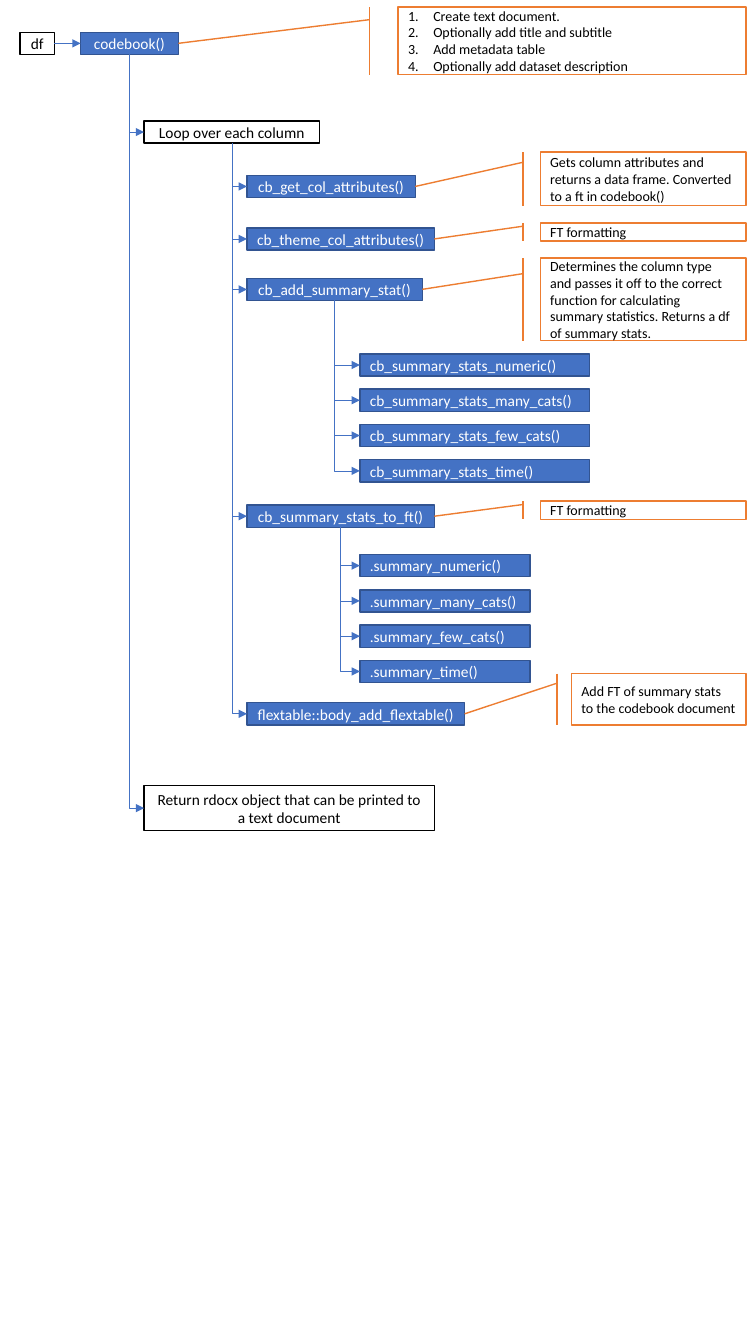
from pptx import Presentation
from pptx import util as u
from pptx.dml.color import RGBColor
from pptx.enum import shapes, text
from pptx.oxml.ns import qn
from lxml import etree

# Content: key, parent, label, column, top, width
STEPS = [
    ("df", None, "df", "input", 0.32, 0.34),
    ("book", None, "codebook()", "main", 0.32, 0.97),
    ("loop", "book", "Loop over each column", "stage", 1.2, 1.74),
    ("get", "loop", "cb_get_col_attributes()", "call", 1.74, 1.67),
    ("theme", "loop", "cb_theme_col_attributes()", "call", 2.26, 1.86),
    ("stat", "loop", "cb_add_summary_stat()", "call", 2.76, 1.74),
    ("toft", "loop", "cb_summary_stats_to_ft()", "call", 5.01, 1.86),
    ("body", "loop", "flextable::body_add_flextable()", "call", 6.97, 2.16),
    ("end", "book", "Return rdocx object that can be printed to a text document",
     "stage", 7.79, 2.88),
]
# Parent, first top, width, label pattern
GROUPS = [
    ("stat", 3.51, 2.28, "cb_summary_stats_{}()"),
    ("toft", 5.5, 1.69, ".summary_{}()"),
]
KINDS = ["numeric", "many_cats", "few_cats", "time"]
# Step explained, top, width, height, lines
NOTES = [
    ("book", 0.07, 3.45, 0.67, [
        "Create text document.", "Optionally add title and subtitle",
        "Add metadata table", "Optionally add dataset description"]),
    ("get", 1.51, 2.04, 0.53, [
        "Gets column attributes and returns a data frame. "
        "Converted to a ft in codebook()"]),
    ("theme", 2.21, 2.04, 0.18, ["FT formatting"]),
    ("stat", 2.56, 2.04, 0.82, [
        "Determines the column type and passes it off to the correct function "
        "for calculating summary statistics. Returns a df of summary stats."]),
    ("toft", 4.97, 2.04, 0.18, ["FT formatting"]),
    ("body", 6.68, 1.73, 0.51, [
        "Add FT of summary stats to the codebook document"]),
]

# Layout, in inches
COLS = {"input": 0.2, "main": 0.8, "stage": 1.43, "call": 2.45, "sub": 3.57}
PLAIN = {"df", "loop", "end"}
ROW, PITCH, TALL, EDGE = 0.22, 0.35, 0.45, 7.4
BAR_Y, BAR_X = 0.188, -0.083
THEME = dict(font="Calibri", step=11, note=10, box=1, wire=0.5,
             blue="4472C4", navy="325491", orange="ED7D31",
             white="FFFFFF", black="000000")

deck = Presentation()
deck.slide_width, deck.slide_height = u.Inches(7.5), u.Inches(13.33)
slide = deck.slides.add_slide(deck.slide_layouts[6])


def color(name):
    return RGBColor.from_string(THEME[name])


def write(shape, lines, size="step", ink="black", align=text.PP_ALIGN.LEFT):
    frame = shape.text_frame
    frame.word_wrap = True
    frame.vertical_anchor = text.MSO_ANCHOR.MIDDLE
    for i, line in enumerate(lines):
        para = frame.paragraphs[0] if i == 0 else frame.add_paragraph()
        para.alignment = align
        run = para.add_run()
        run.text = line
        run.font.name = THEME["font"]
        run.font.size = u.Pt(THEME[size])
        run.font.color.rgb = color(ink)
        if len(lines) > 1:  # numbered list
            props = para._p.get_or_add_pPr()
            props.set("marL", str(u.Inches(0.25)))
            props.set("indent", str(-u.Inches(0.25)))
            etree.SubElement(props, qn("a:buAutoNum"), type="arabicPeriod")


def block(kind, x, y, w, h, fill, line):
    shape = slide.shapes.add_shape(kind, *map(u.Inches, (x, y, w, h)))
    shape.shadow.inherit = False
    shape.fill.solid()
    shape.fill.fore_color.rgb = color(fill)
    shape.line.color.rgb = color(line)
    shape.line.width = u.Pt(THEME["box"])
    return shape


def step(label, col, y, w, plain=False, h=ROW, align=text.PP_ALIGN.CENTER):
    fill, line, ink = (("white", "black", "black") if plain
                       else ("blue", "navy", "white"))
    shape = block(shapes.MSO_SHAPE.RECTANGLE, COLS[col], y, w, h, fill, line)
    write(shape, [label], ink=ink, align=align)
    return shape


def arrow(kind, start, side, end):
    wire = slide.shapes.add_connector(kind, 0, 0, 0, 0)
    wire.begin_connect(start, side)
    wire.end_connect(end, 1)
    wire.line.color.rgb = color("blue")
    wire.line.width = u.Pt(THEME["wire"])
    etree.SubElement(wire.line._get_or_add_ln(), qn("a:tailEnd"), type="triangle")
    etree.SubElement(wire._element.spPr, qn("a:effectLst"))
    return wire


def branch(start, end):
    """One bend: down from the parent, then right into the child."""
    wire = arrow(shapes.MSO_CONNECTOR.ELBOW, start, 2, end)
    x, y = start.left + start.width // 2, start.top + start.height
    run, drop = end.left - x, end.top + end.height // 2 - y
    wire.left, wire.top = x + (run - drop) // 2, y + (drop - run) // 2
    wire.width, wire.height = drop, run
    props = wire._element.spPr
    frame = props.find(qn("a:xfrm"))
    frame.set("rot", "16200000")
    frame.set("flipH", "1")
    props.find(qn("a:prstGeom")).set("prst", "bentConnector2")


def note(target, y, w, h, lines):
    x = EDGE - w
    shape = block(shapes.MSO_SHAPE.LINE_CALLOUT_1_BORDER_AND_ACCENT_BAR,
                  x, y, w, h, "white", "orange")
    tip_x = (target.left + target.width - shape.left) / shape.width
    tip_y = (target.top + target.height / 2 - shape.top) / shape.height
    for i, value in enumerate((BAR_Y, BAR_X, tip_y, tip_x)):
        shape.adjustments[i] = value
    write(shape, lines, size="note")


# Steps and their branches
boxes = {}
for key, parent, label, col, y, w in STEPS:
    boxes[key] = step(label, col, y, w, key in PLAIN, TALL if key == "end" else ROW)
    if parent:
        branch(boxes[parent], boxes[key])
arrow(shapes.MSO_CONNECTOR.STRAIGHT, boxes["df"], 3, boxes["book"])

# Helper functions by kind of column
for parent, top, w, label in GROUPS:
    for i, kind in enumerate(KINDS):
        child = step(label.format(kind), "sub", top + i * PITCH, w,
                     align=text.PP_ALIGN.LEFT)
        branch(boxes[parent], child)

# Callouts
for key, *rest in NOTES:
    note(boxes[key], *rest)

deck.save("out.pptx")
